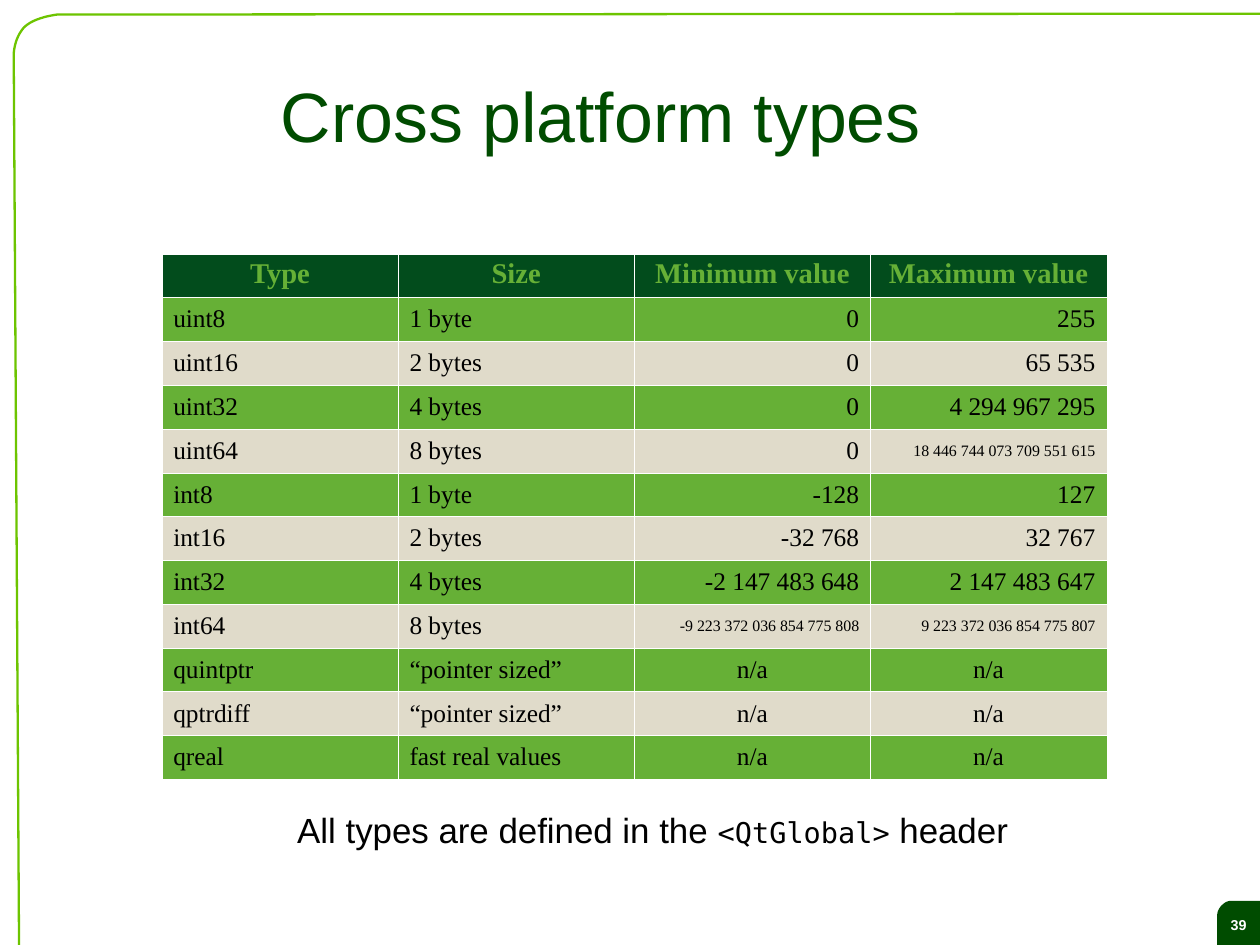
from lxml import etree
from pptx import Presentation
from pptx import util as u
from pptx.dml.color import RGBColor
from pptx.enum import text
from pptx.oxml import ns

Pt = u.Pt
WIDTH, HEIGHT = 793.75, 595.25
DARK_GREEN = "004C00"
LEFT, CENTER, RIGHT = text.PP_ALIGN.LEFT, text.PP_ALIGN.CENTER, text.PP_ALIGN.RIGHT

HEADERS = ["Type", "Size", "Minimum value", "Maximum value"]
TYPES = [
    ["uint8", "1 byte", "0", "255"],
    ["uint16", "2 bytes", "0", "65 535"],
    ["uint32", "4 bytes", "0", "4 294 967 295"],
    ["uint64", "8 bytes", "0", "18 446 744 073 709 551 615"],
    ["int8", "1 byte", "-128", "127"],
    ["int16", "2 bytes", "-32 768", "32 767"],
    ["int32", "4 bytes", "-2 147 483 648", "2 147 483 647"],
    ["int64", "8 bytes", "-9 223 372 036 854 775 808", "9 223 372 036 854 775 807"],
    ["quintptr", "“pointer sized”", "n/a", "n/a"],
    ["qptrdiff", "“pointer sized”", "n/a", "n/a"],
    ["qreal", "fast real values", "n/a", "n/a"],
]


def color(hex_string):
    return RGBColor.from_string(hex_string)


def style_run(run, size, font, hex_string, bold=False):
    run.font.size = Pt(size)
    run.font.name = font
    run.font.color.rgb = color(hex_string)
    run.font.bold = bold


def set_margins(target, left, top, right, bottom):
    target.margin_left, target.margin_top = Pt(left), Pt(top)
    target.margin_right, target.margin_bottom = Pt(right), Pt(bottom)


def curve(start, control1, control2, end, steps=12):
    """Return points along a cubic Bezier curve, without its start."""
    points = []
    for step in range(1, steps + 1):
        t = step / steps
        weights = ((1 - t) ** 3, 3 * t * (1 - t) ** 2, 3 * t * t * (1 - t), t ** 3)
        corners = (start, control1, control2, end)
        points.append(tuple(sum(w * c[axis] for w, c in zip(weights, corners))
                            for axis in (0, 1)))
    return points


def add_outline(slide, points, closed):
    points = [(Pt(x), Pt(y)) for x, y in points]
    builder = slide.shapes.build_freeform(*points[0])
    builder.add_line_segments(points[1:], close=closed)
    shape = builder.convert_to_shape()
    shape.shadow.inherit = False
    return shape


def add_frame(slide):
    top, bend, side = (36, 9.2), (15.12, 17.28), (8.64, 34.56)
    points = [(WIDTH, 8.64), top]
    points += curve(top, (35.28, 9.36), (21.6, 10.8), bend)
    points += curve(bend, (8.64, 24.48), side, side)
    points.append((12, HEIGHT))
    frame = add_outline(slide, points, closed=False)
    frame.fill.background()
    frame.line.color.rgb = color("6DC400")
    frame.line.width = Pt(1.45)


def add_page_tab(slide, number):
    side, bend, top = (766.8, 576.7), (769.7, 570.2), (776.9, 567.4)
    points = [(766.8, HEIGHT), side]
    points += curve(side, (766.8, 576), (766.8, 573.1), bend)
    points += curve(bend, (772.6, 567.4), (774.7, 567.4), top)
    points += [(WIDTH, 567.4), (WIDTH, HEIGHT)]
    tab = add_outline(slide, points, closed=True)
    tab.fill.solid()
    tab.fill.fore_color.rgb = color(DARK_GREEN)
    tab.line.fill.background()
    write_line(tab.text_frame, [(number, 9, "Arial", "FFFFFF", True)], (0, 3, 0, 0))


def write_line(text_frame, pieces, margins, anchor=text.MSO_ANCHOR.MIDDLE):
    """Fill a frame with one centred line of (text, size, font, colour, bold) pieces."""
    text_frame.word_wrap = True
    text_frame.vertical_anchor = anchor
    set_margins(text_frame, *margins)
    paragraph = text_frame.paragraphs[0]
    paragraph.alignment = CENTER
    paragraph.line_spacing = 0.93
    for words, *style in pieces:
        run = paragraph.add_run()
        run.text = words
        style_run(run, *style)


def add_text(slide, box, *line):
    text_box = slide.shapes.add_textbox(*map(Pt, box))
    write_line(text_box.text_frame, *line)


def add_cell_borders(cell):
    properties = cell._tc.get_or_add_tcPr()
    for index, side in enumerate(("lnL", "lnR", "lnT", "lnB")):
        line = etree.Element(ns.qn("a:" + side), w=str(Pt(0.06)))
        fill = etree.SubElement(line, ns.qn("a:solidFill"))
        etree.SubElement(fill, ns.qn("a:srgbClr"), val="FFFFFF")
        properties.insert(index, line)


def fill_cell(cell, value, background, alignment, *style):
    cell.fill.solid()
    cell.fill.fore_color.rgb = color(background)
    add_cell_borders(cell)
    cell.text_frame.text = value
    paragraph = cell.text_frame.paragraphs[0]
    paragraph.alignment = alignment
    style_run(paragraph.runs[0], *style)


def add_type_table(slide):
    rows, columns = len(TYPES) + 1, len(HEADERS)
    frame = slide.shapes.add_table(rows, columns, Pt(102), Pt(159.8), Pt(595.2), Pt(330.3))
    table = frame.table
    for column in table.columns:
        column.width = Pt(148.8)
    for row in table.rows:
        row.height = Pt(27.6)
    table.rows[0].height = Pt(26.7)

    for index, header in enumerate(HEADERS):
        cell = table.cell(0, index)
        set_margins(cell, 3, 3, 3, 3)
        fill_cell(cell, header, "024C1C", CENTER, 18, "Times New Roman", "66B036", True)

    for row_index, values in enumerate(TYPES, 1):
        background = "66B036" if row_index % 2 else "E0DBCA"
        for index, value in enumerate(values):
            cell = table.cell(row_index, index)
            set_margins(cell, 7.2, 3.6, 7.2, 3.6)
            cell.vertical_anchor = text.MSO_ANCHOR.MIDDLE
            alignment = CENTER if value == "n/a" else LEFT if index < 2 else RIGHT
            size = 10 if len(value) > 20 else 16
            fill_cell(cell, value, background, alignment, size, "Times New Roman", "000000")


def main():
    presentation = Presentation()
    presentation.slide_width, presentation.slide_height = Pt(WIDTH), Pt(HEIGHT)
    slide = presentation.slides.add_slide(presentation.slide_layouts[6])

    add_page_tab(slide, "39")
    add_frame(slide)
    add_text(slide, (121, 23.8, 515.5, 99.4),
             [("Cross platform types", 44, "Arial", DARK_GREEN)], (0, 2.9, 0, 0))
    add_type_table(slide)
    add_text(slide, (170.6, 506.9, 481, 31.7),
             [("All types are defined in the ", 22, "Arial", "000000"),
              ("<QtGlobal>", 18, "DejaVu Sans Mono", "000000"),
              (" header", 22, "Arial", "000000")],
             (7.2, 5, 7.2, 3.6), text.MSO_ANCHOR.TOP)
    presentation.save("out.pptx")


if __name__ == "__main__":
    main()
